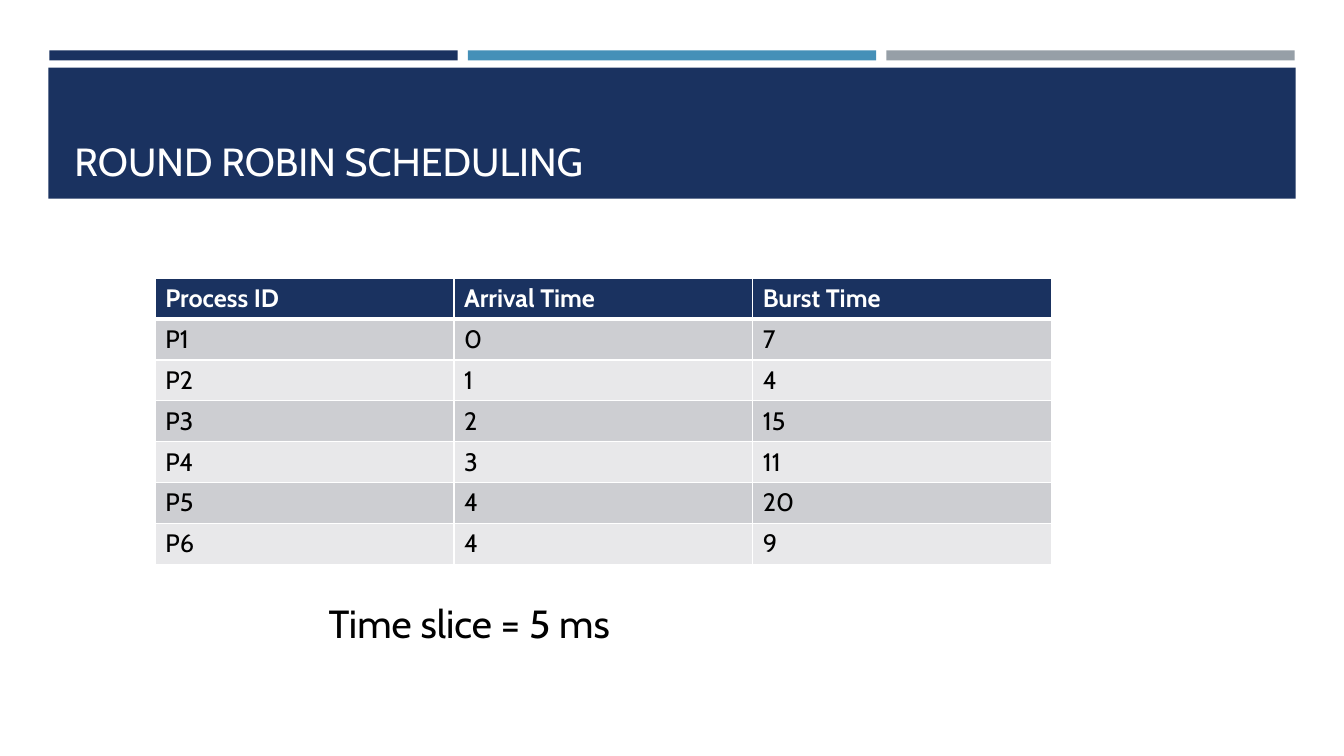
from lxml import etree
from pptx import Presentation
from pptx.dml.color import RGBColor
from pptx.enum import shapes, text
from pptx.oxml import ns
from pptx.util import Inches, Pt

NAVY, BLUE, GRAY = "1A3260", "4590B8", "969FA7"
WHITE, BLACK = "FFFFFF", "000000"
BANDS = ["E8E8EA", "CDCED2"]


def color(value):
    return RGBColor.from_string(value)


def write(frame, words, size=18, ink=BLACK, bold=False,
          anchor=text.MSO_ANCHOR.TOP, wrap=True):
    frame.word_wrap = wrap
    frame.vertical_anchor = anchor
    para = frame.paragraphs[0]
    span = para.add_run()
    span.text = words
    span.font.name = "Cabin"
    span.font.size = Pt(size)
    span.font.bold = bold
    span.font.color.rgb = color(ink)


deck = Presentation()
deck.slide_width, deck.slide_height = Inches(13.33), Inches(7.5)
page = deck.slides.add_slide(deck.slide_layouts[6])

# Three accent strips above the title band
bars = [(0.49 + 4.15 * i, 0.5, 4.05, 0.1, fill)
        for i, fill in enumerate([NAVY, BLUE, GRAY])]
bars.append((0.48, 0.67, 12.37, 1.3, NAVY))
for left, top, width, height, fill in bars:
    bar = page.shapes.add_shape(shapes.MSO_SHAPE.RECTANGLE, Inches(left),
                                Inches(top), Inches(width), Inches(height))
    bar.shadow.inherit = False
    bar.fill.solid()
    bar.fill.fore_color.rgb = color(fill)
    bar.line.fill.background()

# Title
title = page.shapes.add_textbox(Inches(0.64), Inches(0.77), Inches(12.06), Inches(1.11))
write(title.text_frame, "ROUND ROBIN SCHEDULING", size=28, ink=WHITE,
      anchor=text.MSO_ANCHOR.BOTTOM)

# Process table
processes = [
    ("Process ID", "Arrival Time", "Burst Time"),
    ("P1", "0", "7"),
    ("P2", "1", "4"),
    ("P3", "2", "15"),
    ("P4", "3", "11"),
    ("P5", "4", "20"),
    ("P6", "4", "9"),
]
table = page.shapes.add_table(len(processes), 3, Inches(1.54), Inches(2.76),
                              Inches(8.89), Inches(2.84)).table
for r, values in enumerate(processes):
    header = r == 0
    for c, value in enumerate(values):
        cell = table.cell(r, c)
        write(cell.text_frame, value, ink=WHITE if header else BLACK, bold=header)

        # White borders, thicker under the header; they precede the fill in the XML
        properties = cell._tc.get_or_add_tcPr()
        for side in "LRTB":
            thick = (r, side) in [(0, "B"), (1, "T")]
            border = etree.SubElement(properties, ns.qn("a:ln" + side),
                                      w=str(Pt(3 if thick else 1)))
            solid = etree.SubElement(border, ns.qn("a:solidFill"))
            etree.SubElement(solid, ns.qn("a:srgbClr"), val=WHITE)
        cell.fill.solid()
        cell.fill.fore_color.rgb = color(NAVY if header else BANDS[r % 2])

# Time slice note
note = page.shapes.add_textbox(Inches(3.16), Inches(5.9), Inches(3.01), Inches(0.57))
write(note.text_frame, "Time slice = 5 ms", size=28, wrap=False)
note.text_frame.auto_size = text.MSO_AUTO_SIZE.SHAPE_TO_FIT_TEXT

deck.save("out.pptx")
